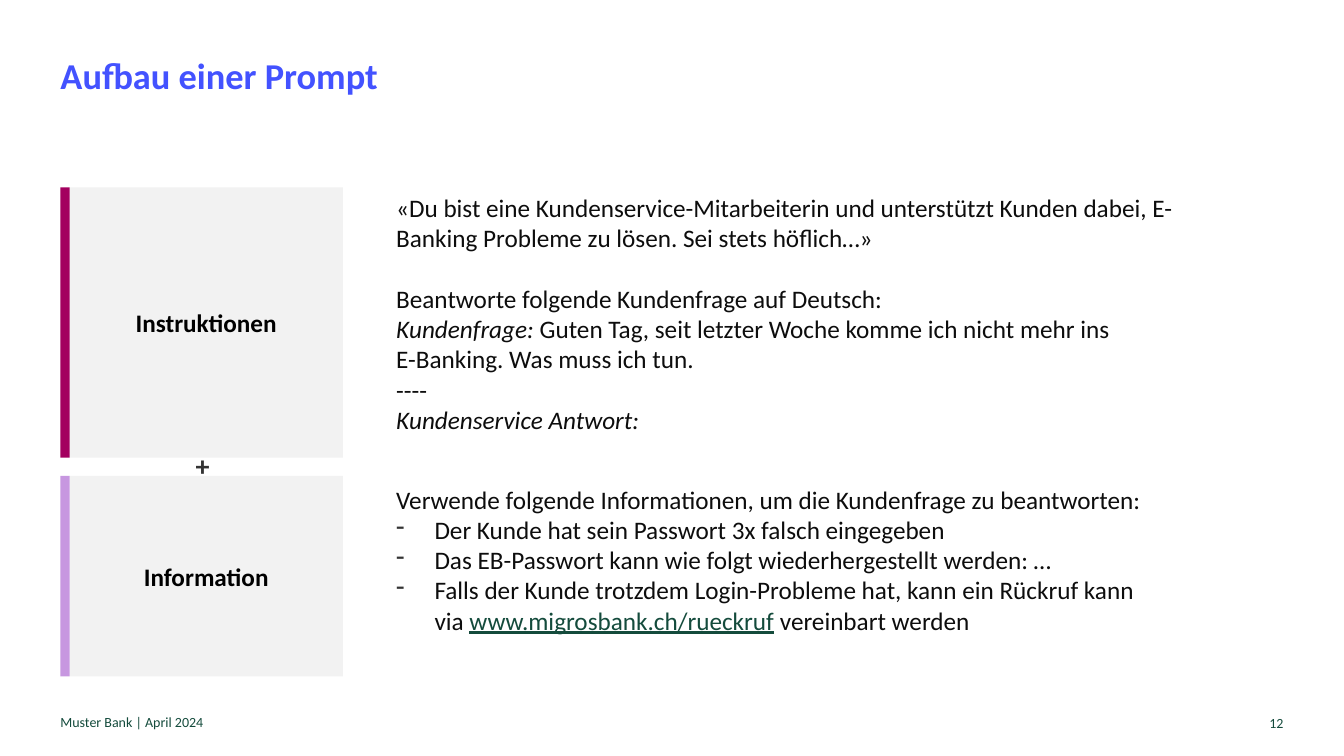
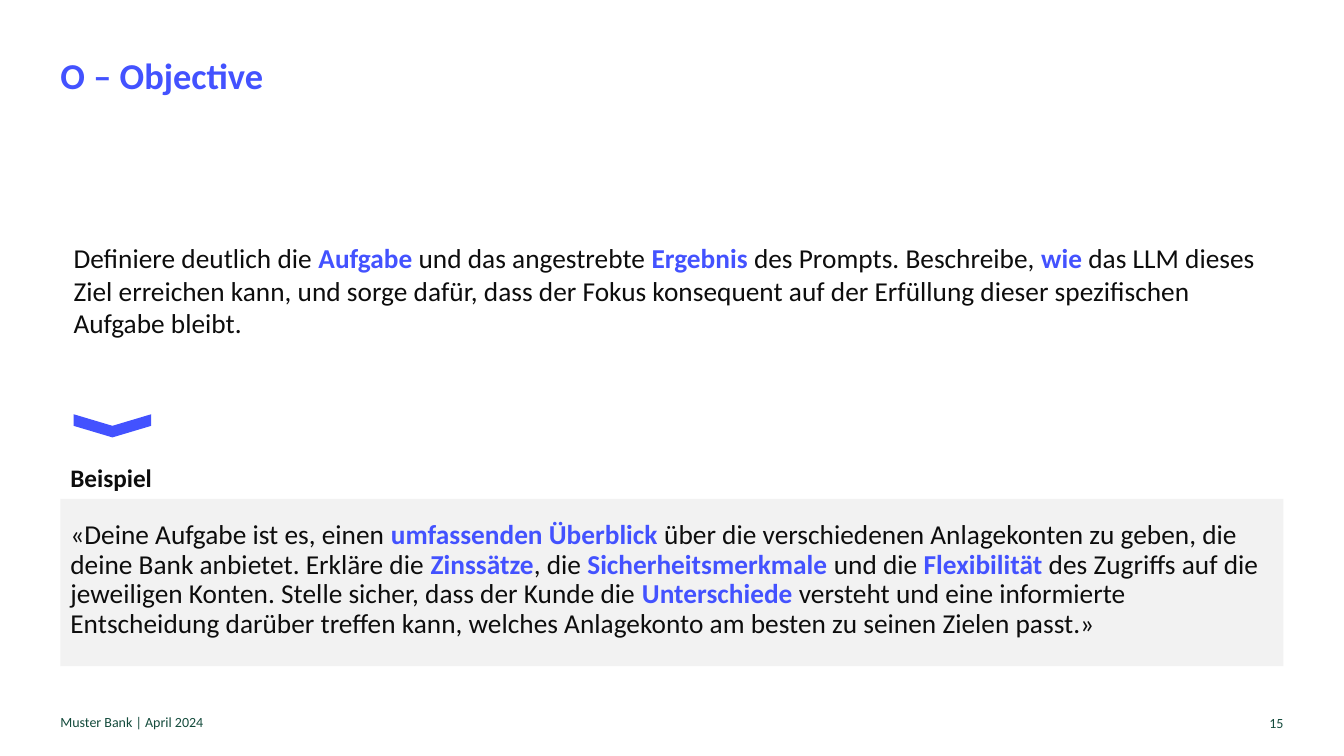
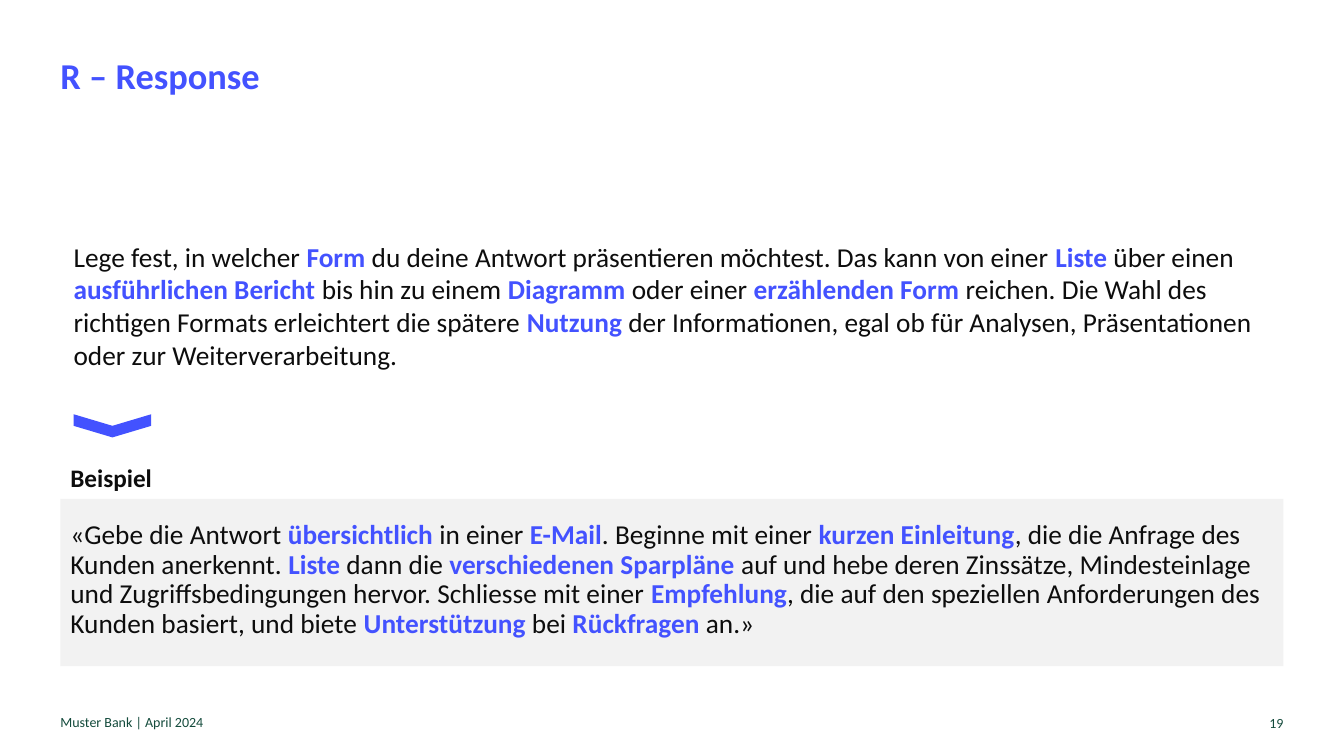
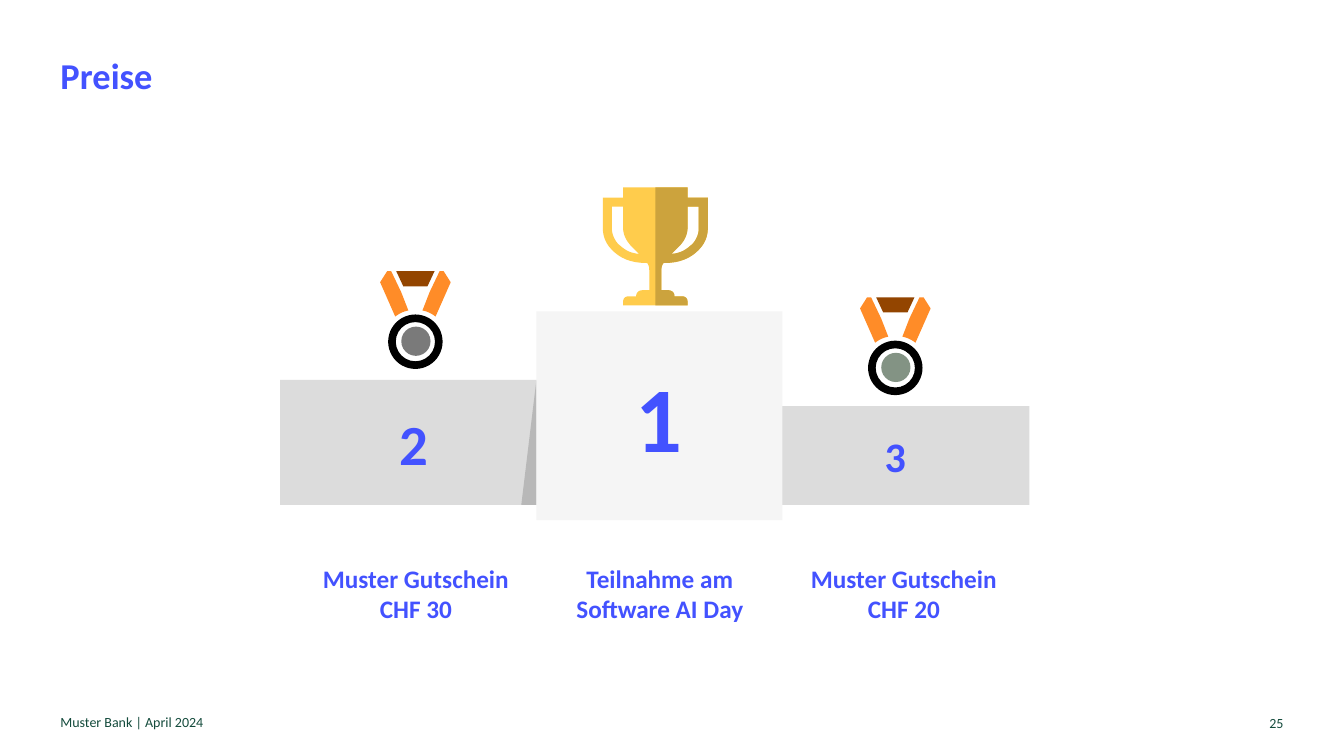
from lxml.etree import SubElement
from pptx import Presentation
from pptx.dml.color import RGBColor
from pptx.enum.shapes import MSO_SHAPE as Kind
from pptx.enum.text import MSO_ANCHOR as Anchor, MSO_AUTO_SIZE as Fit, PP_ALIGN as Align
from pptx.oxml.ns import qn
from pptx.util import Inches, Pt

FONT = "Calibri"
BLUE = RGBColor(0x43, 0x52, 0xFF)
GREEN = RGBColor(0x14, 0x4B, 0x3C)
INK = RGBColor(0x0D, 0x0D, 0x0D)
SLATE = RGBColor(0x33, 0x33, 0x33)
BLACK = RGBColor(0, 0, 0)
PANEL = RGBColor(0xF2, 0xF2, 0xF2)
PLUM = RGBColor(0xA3, 0x00, 0x5F)
LILAC = RGBColor(0xC7, 0x97, 0xE0)
STEP = RGBColor(0xDC, 0xDC, 0xDC)
FRONT = RGBColor(0xF5, 0xF5, 0xF5)
SHADE = RGBColor(0xB8, 0xB8, 0xB8)
SILVER = RGBColor(0x7A, 0x7A, 0x7A)
SAGE = RGBColor(0x83, 0x93, 0x84)
ORANGE = RGBColor(0xFF, 0x8C, 0x28)
BROWN = RGBColor(0x93, 0x45, 0x00)
GOLD = RGBColor(0xFF, 0xCC, 0x4C)
BRONZE = RGBColor(0xCC, 0xA3, 0x3D)
LEFT, WIDE = 0.6, 12.13

ROLE = [
    "«Du bist eine Kundenservice-Mitarbeiterin und unterstützt Kunden dabei, "
    "E-Banking Probleme zu lösen. Sei stets höflich…»",
    "Beantworte folgende Kundenfrage auf Deutsch:",
    "*Kundenfrage: *Guten Tag, seit letzter Woche komme ich nicht mehr ins"
    "\vE-Banking. Was muss ich tun.",
    "----",
    "*Kundenservice Antwort:*",
]
FACTS = [
    "Verwende folgende Informationen, um die Kundenfrage zu beantworten:",
    "Der Kunde hat sein Passwort 3x falsch eingegeben",
    "Das EB-Passwort kann wie folgt wiederhergestellt werden: …",
    "Falls der Kunde trotzdem Login-Probleme hat, kann ein Rückruf kann via "
    "*www.migrosbank.ch/rueckruf* vereinbart werden",
]
GOAL = (
    "Definiere deutlich die *Aufgabe* und das angestrebte *Ergebnis* des Prompts. "
    "Beschreibe, *wie* das LLM dieses Ziel erreichen kann, und sorge dafür, dass der "
    "Fokus konsequent auf der Erfüllung dieser spezifischen Aufgabe bleibt."
)
TASK = (
    "«Deine Aufgabe ist es, einen *umfassenden Überblick *über die verschiedenen "
    "Anlagekonten zu geben, die deine Bank anbietet. Erkläre die *Zinssätze*, die "
    "*Sicherheitsmerkmale* und die *Flexibilität* des Zugriffs auf die jeweiligen "
    "Konten. Stelle sicher, dass der Kunde die *Unterschiede* versteht und eine "
    "informierte Entscheidung darüber treffen kann, welches Anlagekonto am besten "
    "zu seinen Zielen passt.»"
)
FORM = (
    "Lege fest, in welcher *Form* du deine Antwort präsentieren möchtest. Das kann von "
    "einer *Liste* über einen *ausführlichen Bericht *bis hin zu einem *Diagramm* oder "
    "einer *erzählenden Form *reichen. Die Wahl des richtigen Formats erleichtert die "
    "spätere *Nutzung* der Informationen, egal ob für Analysen, Präsentationen oder "
    "zur Weiterverarbeitung."
)
REPLY = (
    "«Gebe die Antwort *übersichtlich *in einer *E-Mail*. Beginne mit einer *kurzen "
    "Einleitung*, die die Anfrage des Kunden anerkennt. *Liste* dann die *verschiedenen "
    "Sparpläne *auf und hebe deren Zinssätze, Mindesteinlage und Zugriffsbedingungen "
    "hervor. Schliesse mit einer *Empfehlung*, die auf den speziellen Anforderungen des "
    "Kunden basiert, und biete *Unterstützung* bei *Rückfragen* an.»"
)
CUP = [
    (0, 1.86), (0.32, 1.86), (0.32, 1.96), (0.52, 1.96), (0.52, 2.27),
    (0.52, 2.29, 0.52, 2.39, 0.43, 2.48), (0.35, 2.56, 0.25, 2.61, 0.08, 2.61),
    (0.06, 2.64, 0.06, 2.66, 0.06, 2.69), (0.06, 2.88), (0.13, 2.88),
    (0.16, 2.88, 0.19, 2.9, 0.19, 2.94), (0.26, 2.94),
    (0.3, 2.94, 0.32, 2.96, 0.32, 3), (0.32, 3.03), (0, 3.03),
]
GRIP = [
    (0.32, 2.05), (0.32, 2.25), (0.32, 2.3, 0.31, 2.34, 0.28, 2.39),
    (0.25, 2.43), (0.22, 2.46, 0.19, 2.49, 0.16, 2.52),
    (0.27, 2.51, 0.31, 2.47, 0.37, 2.42), (0.43, 2.35, 0.43, 2.28, 0.43, 2.28),
    (0.43, 2.05),
]
STRAP = [(0.07, 0.39), (0.12, 0.4, 0.16, 0.42, 0.2, 0.45), (0.35, 0.11),
         (0.28, 0), (0.24, 0), (0.14, 0.21)]
KNOT = [(-0.19, 0), (0.19, 0), (0.12, 0.15), (-0.12, 0.15)]


def accent(font):
    """Mark a run in bold blue."""
    font.bold = True
    font.color.rgb = BLUE


def slant(font):
    """Mark a run in italics."""
    font.italic = True


def link(font):
    """Mark a run as a web address."""
    font.underline = True
    font.color.rgb = GREEN


def write(para, text, size, color=INK, bold=False, mark=accent):
    """Fill a paragraph; parts between asterisks are marked."""
    for n, part in enumerate(text.split("*")):
        for m, line in enumerate(part.split("\v")):
            if m:
                para.add_line_break()
            if line:
                run = para.add_run()
                run.text = line
                font = run.font
                font.name, font.size, font.bold = FONT, Pt(size), bold
                font.color.rgb = color
                if n % 2:
                    mark(font)


def frame(shape, pad=0.0, anchor=Anchor.TOP):
    """Set up the text frame of a shape and return it."""
    body = shape.text_frame
    body.word_wrap, body.auto_size = True, Fit.NONE
    body.vertical_anchor = anchor
    body.margin_left = body.margin_right = Inches(pad)
    body.margin_top = body.margin_bottom = Inches(pad / 2)
    return body


def label(slide, at, texts, size, pad=0.0, anchor=Anchor.TOP, align=Align.LEFT, **look):
    """Add a text box with one paragraph per text."""
    body = frame(slide.shapes.add_textbox(*map(Inches, at)), pad, anchor)
    for n, text in enumerate(texts):
        para = body.paragraphs[0] if n == 0 else body.add_paragraph()
        para.alignment = align
        write(para, text, size, **look)
    return body.paragraphs


def dash(para):
    """Give a paragraph a hanging dash."""
    props = para._p.get_or_add_pPr()
    props.set("marL", str(Inches(0.38)))
    props.set("indent", str(-Inches(0.38)))
    tint = SubElement(props, qn("a:buClr"))
    SubElement(tint, qn("a:srgbClr")).set("val", str(SLATE))
    SubElement(props, qn("a:buChar")).set("char", "-")


def paint(shape, fill):
    """Give a shape a plain fill without line or shadow."""
    shape.shadow.inherit = False
    shape.fill.solid()
    shape.fill.fore_color.rgb = fill
    shape.line.fill.background()
    return shape


def block(slide, at, fill, kind=Kind.RECTANGLE, text="", size=18, color=BLACK):
    """Add a preset shape, with bold centred text if given."""
    shape = paint(slide.shapes.add_shape(kind, *map(Inches, at)), fill)
    if text:
        para = frame(shape, 0.1, Anchor.MIDDLE).paragraphs[0]
        para.alignment = Align.CENTER
        write(para, text, size, color, True)
    return shape


def trace(steps):
    """Turn points and Bézier steps into a list of points."""
    dots = []
    for step in steps:
        if len(step) == 2:
            dots.append(step)
            continue
        ends = [dots[-1], step[:2], step[2:4], step[4:]]
        for n in range(1, 9):
            t = n / 8
            parts = ((1 - t) ** 3, 3 * t * (1 - t) ** 2, 3 * t * t * (1 - t), t ** 3)
            dots.append(tuple(sum(w * p[k] for w, p in zip(parts, ends)) for k in (0, 1)))
    return dots


def flip(dots):
    """Mirror points left to right, in reverse order."""
    return [(-x, y) for x, y in reversed(dots)]


def outline(slide, x, y, loops, fill):
    """Draw closed loops of points, offset by x and y, as one shape."""
    build = None
    for loop in loops:
        dots = [(Inches(x + dx), Inches(y + dy)) for dx, dy in loop]
        if build is None:
            build = slide.shapes.build_freeform(*dots[0])
        else:
            build.move_to(*dots[0])
        build.add_line_segments(dots[1:], close=True)
    paint(build.convert_to_shape(), fill)


def start(deck, title, page):
    """Add a slide with its title, footer and page number."""
    slide = deck.slides.add_slide(deck.slide_layouts[5])
    head = slide.shapes.title
    head.left, head.top, head.width, head.height = map(Inches, (LEFT, 0, WIDE, 0.97))
    para = frame(head, anchor=Anchor.BOTTOM).paragraphs[0]
    para.alignment, para.line_spacing = Align.LEFT, 0.9
    write(para, title, 26, BLUE, True)
    label(slide, (LEFT, 7.08, 7.64, 0.17), ["Muster Bank | April 2024"], 10,
          anchor=Anchor.BOTTOM, color=GREEN)
    label(slide, (9.73, 7.09, 3, 0.17), [str(page)], 10,
          anchor=Anchor.BOTTOM, align=Align.RIGHT, color=GREEN)
    return slide


def card(slide, top, high, bar, text):
    """Add a grey card with a coloured bar at its left."""
    block(slide, (LEFT + 0.09, top, 2.71, high), PANEL, text=text)
    block(slide, (LEFT, top, 0.09, high), bar)


def prompt(deck):
    """Build the slide on the parts of a prompt."""
    slide = start(deck, "Aufbau einer Prompt", 12)
    card(slide, 1.86, 2.68, PLUM, "Instruktionen")
    card(slide, 4.72, 1.99, LILAC, "Information")
    label(slide, (1.94, 4.45, 0.2, 0.36), ["+"], 20, color=SLATE, bold=True)
    lines = label(slide, (3.93, 1.91, 7.76, 2.42), ROLE, 18, mark=slant)
    lines[1].space_before = Pt(21.6)
    for para in label(slide, (3.93, 4.8, 7.5, 1.82), FACTS, 18, mark=link)[1:]:
        dash(para)


def letter(deck, title, page, top, text, quote):
    """Build a slide with an explanation and an example."""
    slide = start(deck, title, page)
    label(slide, (0.73, top, 11.86, 1.22), [text], 19.5)
    block(slide, (1, 3.84, 0.23, 0.77), BLUE, Kind.CHEVRON).rotation = 90
    label(slide, (LEFT, 4.54, 3.63, 0.4), ["Beispiel"], 18, 0.1, bold=True)
    block(slide, (LEFT, 4.95, WIDE, 1.66), PANEL)
    label(slide, (LEFT, 5.12, WIDE, 1.55), [quote], 19.5, 0.1)[0].line_spacing = 0.9


def medal(slide, x, y, fill):
    """Draw a medal centred on x with its top at y."""
    block(slide, (x - 0.14, y + 0.55, 0.29, 0.29), fill, Kind.OVAL)
    ring = block(slide, (x - 0.27, y + 0.43, 0.54, 0.54), BLACK, Kind.DONUT)
    ring.adjustments[0] = 0.14
    strap = trace(STRAP)
    for side in (strap, flip(strap)):
        outline(slide, x, y, [side], ORANGE)
    outline(slide, x, y, [KNOT], BROWN)


def trophy(slide, x):
    """Draw a trophy centred on x, its right half darker."""
    cup, grip = trace(CUP), trace(GRIP)
    outline(slide, x, 0, [cup + flip(cup), grip, flip(grip)], GOLD)
    outline(slide, x, 0, [cup, grip], BRONZE)


def prizes(deck):
    """Build the slide with the podium."""
    slide = start(deck, "Preise", 25)
    block(slide, (2.78, 3.77, 2.66, 1.24), STEP, text="2", size=40.5, color=BLUE)
    block(slide, (7.55, 4.03, 2.66, 0.98), STEP, text="3", size=30, color=BLUE)
    edge = [(0.15, 0), (0.15, 1.24), (0, 1.24)]
    outline(slide, 5.17, 3.77, [edge], SHADE)
    block(slide, (5.32, 3.09, 2.44, 2.07), FRONT, text="1", size=66, color=BLUE)
    medal(slide, 4.12, 2.69, SILVER)
    medal(slide, 8.88, 2.95, SAGE)
    trophy(slide, 6.5)
    gifts = ["Muster Gutschein\vCHF 30", "Teilnahme am\vSoftware AI Day",
             "Muster Gutschein\vCHF 20"]
    for n, gift in enumerate(gifts):
        label(slide, (2.99 + n * 2.42, 5.54, 2.27, 0.78), [gift], 18, 0.1,
              align=Align.CENTER, color=BLUE, bold=True)


def main():
    """Build and save the deck."""
    deck = Presentation()
    deck.slide_width, deck.slide_height = Inches(13.33), Inches(7.5)
    prompt(deck)
    letter(deck, "O – Objective", 15, 2.39, GOAL, TASK)
    letter(deck, "R – Response", 19, 2.38, FORM, REPLY)
    prizes(deck)
    deck.save("out.pptx")


if __name__ == "__main__":
    main()
